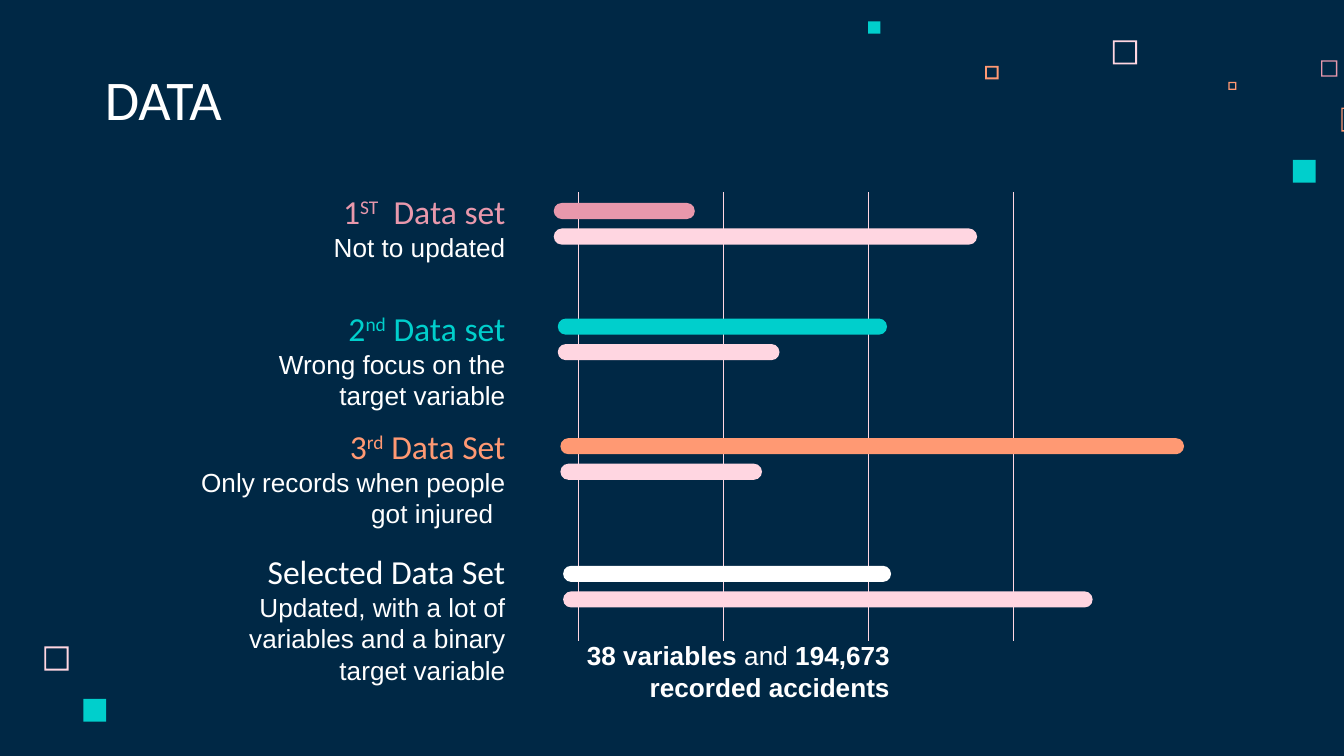
from lxml import etree
from pptx import Presentation
from pptx.dml.color import RGBColor
from pptx.enum.shapes import MSO_CONNECTOR, MSO_SHAPE
from pptx.enum.text import MSO_ANCHOR, PP_ALIGN
from pptx.oxml.ns import qn
from pptx.util import Inches, Pt

NAVY, WHITE, PINK = "002845", "FFFFFF", "FFD6E1"
ROSE, TEAL, ORANGE = "E898AC", "00CFCC", "FF9973"
BAR_HEIGHT, BAR_STEP = 0.12, 0.19
LABEL_RIGHT = 3.86

SQUARES = [
    (8.28, 0.3, 0.18, PINK, 0.08),
    (9.83, 0.45, 0.12, ROSE, 0.08),
    (9.14, 0.61, 0.06, ORANGE, 0.17),
    (9.98, 0.8, 0.18, ORANGE, 0.06),
    (9.62, 1.19, 0.17, TEAL, None),
    (7.33, 0.49, 0.1, ORANGE, 0.14),
    (6.46, 0.16, 0.09, TEAL, None),
    (0.33, 4.81, 0.18, PINK, 0.08),
    (0.62, 5.2, 0.17, TEAL, None),
]

DATA_SETS = [
    (1.39, ("1", "ST", "  Data set"), "Not to updated", 2.45, ROSE,
     4.12, 1.51, (1.05, 3.15)),
    (2.26, ("2", "nd", " Data set"), "Wrong focus on the target variable", 2.36, TEAL,
     4.15, 2.37, (2.45, 1.65)),
    (3.14, ("3", "rd", " Data Set"), "Only records when people got injured\t", 2.61, ORANGE,
     4.17, 3.26, (4.64, 1.5)),
    (4.07, ("Selected Data Set",),
     "Updated, with a lot of variables and a binary target variable", 2.61, WHITE,
     4.19, 4.21, (2.44, 3.94)),
]


def rgb(value):
    """Return the colour for a hex string."""
    return RGBColor.from_string(value)


def add_filled(shapes, kind, box, color, adjustment=None):
    """Add a preset shape with a plain fill and no outline."""
    shape = shapes.add_shape(kind, *map(Inches, box))
    shape.shadow.inherit = False
    shape.fill.solid()
    shape.fill.fore_color.rgb = rgb(color)
    shape.line.fill.background()
    if adjustment is not None:
        shape.adjustments[0] = adjustment


def format_text(shape, size, font_name, color, anchor, align):
    """Set the frame and the paragraph font of a one-paragraph shape."""
    frame = shape.text_frame
    frame.word_wrap = True
    frame.vertical_anchor = anchor
    frame.margin_left = frame.margin_right = Inches(0.1)
    frame.margin_top = frame.margin_bottom = Inches(0.1)
    paragraph = frame.paragraphs[0]
    paragraph.alignment = align
    paragraph.font.size = Pt(size)
    paragraph.font.name = font_name
    paragraph.font.color.rgb = rgb(color)
    return paragraph


def add_heading(slide, box, parts, color):
    """Add a right-aligned data set name whose second part is raised."""
    shape = slide.shapes.add_textbox(*map(Inches, box))
    paragraph = format_text(shape, 18, "Calibri", color, MSO_ANCHOR.BOTTOM, PP_ALIGN.RIGHT)
    for index, part in enumerate(parts):
        run = paragraph.add_run()
        run.text = part
        if index == 1:
            run._r.get_or_add_rPr().set("baseline", "30000")


def add_description(slide, box, parts):
    """Add right-aligned body text from (text, bold) parts."""
    shape = slide.shapes.add_textbox(*map(Inches, box))
    paragraph = format_text(shape, 14, "Arial", WHITE, MSO_ANCHOR.TOP, PP_ALIGN.RIGHT)
    paragraph.space_after = Pt(16)
    for text, bold in parts:
        run = paragraph.add_run()
        run.text = text
        run.font.bold = bold


def add_title(slide, box, text):
    """Place and format the slide title."""
    title = slide.shapes.title
    title.left, title.top, title.width, title.height = map(Inches, box)
    title.text_frame.text = text
    format_text(title, 30, "Calibri", WHITE, MSO_ANCHOR.BOTTOM, PP_ALIGN.LEFT)


def add_squares(slide):
    """Scatter the solid and hollow decorative squares."""
    for left, top, size, color, thickness in SQUARES:
        kind = MSO_SHAPE.RECTANGLE if thickness is None else MSO_SHAPE.FRAME
        add_filled(slide.shapes, kind, (left, top, size, size), color, thickness)


def add_gridlines(slide, left, top, step, height, count):
    """Draw evenly spaced vertical gridlines."""
    for index in range(count):
        x = Inches(left + index * step)
        line = slide.shapes.add_connector(
            MSO_CONNECTOR.STRAIGHT, x, Inches(top), x, Inches(top + height))
        line.line.color.rgb = rgb(PINK)
        line.line.width = Pt(0.25)
        etree.SubElement(line._element.spPr, qn("a:effectLst"))


def add_bars(slide, left, top, widths, color):
    """Group a coloured bar with the pink bar below it."""
    group = slide.shapes.add_group_shape()
    for index, (width, fill) in enumerate(zip(widths, (color, PINK))):
        box = (left, top + index * BAR_STEP, width, BAR_HEIGHT)
        add_filled(group.shapes, MSO_SHAPE.ROUNDED_RECTANGLE, box, fill, 0.5)


def add_data_set(slide, top, name, description, width, color, bar_left, bar_top, bar_widths):
    """Add the label and the pair of bars of one data set."""
    add_bars(slide, bar_left, bar_top, bar_widths, color)
    add_heading(slide, (LABEL_RIGHT - 2.06, top, 2.06, 0.43), name, color)
    add_description(slide, (LABEL_RIGHT - width, top + 0.23, width, 0.71),
                    [(description, False)])


def main():
    """Build and save the slide."""
    presentation = Presentation()
    presentation.slide_width = Inches(10)
    presentation.slide_height = presentation.slide_width * 9 // 16
    slide = presentation.slides.add_slide(presentation.slide_layouts[5])
    slide.background.fill.solid()
    slide.background.fill.fore_color.rgb = rgb(NAVY)
    add_squares(slide)
    add_title(slide, (0.68, 0.45, 5.17, 0.63), "DATA")
    add_gridlines(slide, 4.3, 1.43, 1.08, 3.34, 4)
    for data_set in DATA_SETS:
        add_data_set(slide, *data_set)
    add_description(slide, (4.11, 4.66, 2.61, 0.71), [
        ("38 variables ", True), ("and ", False), ("194,673 recorded accidents", True)])
    presentation.save("out.pptx")


if __name__ == "__main__":
    main()
